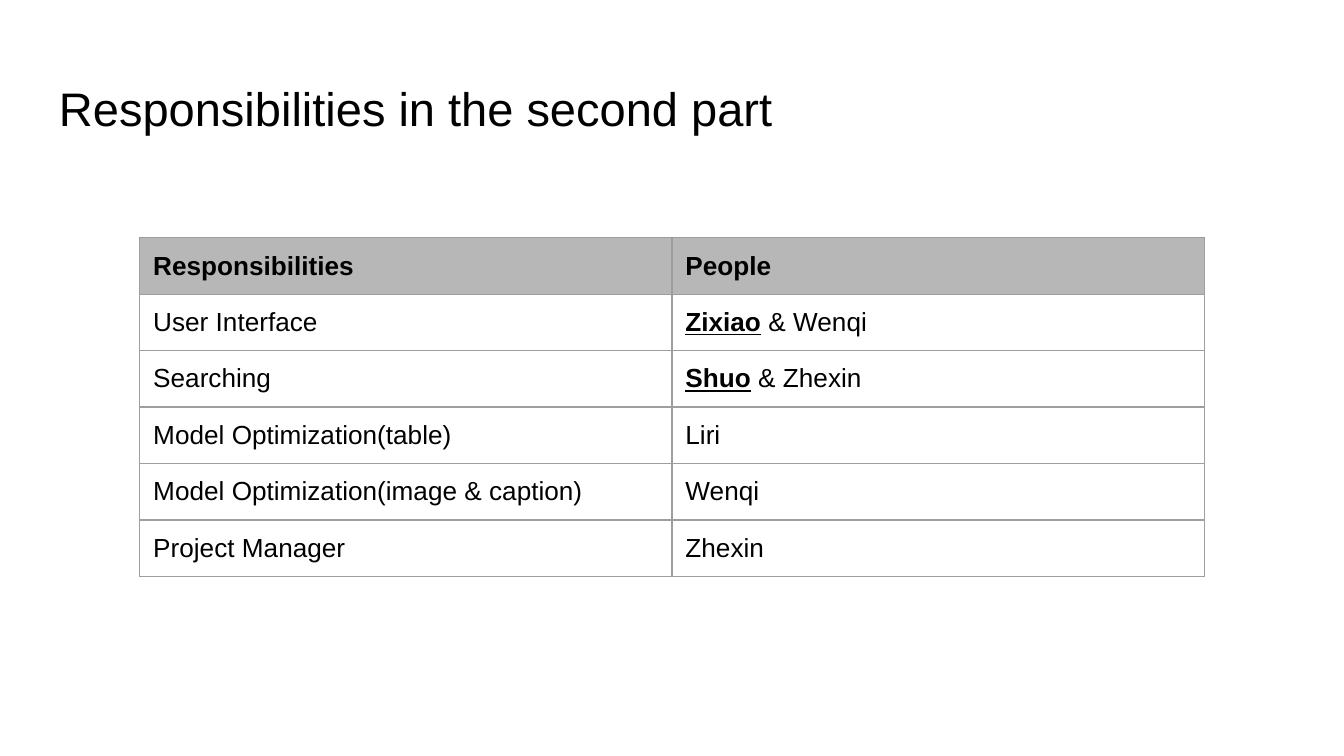
from typing import NamedTuple

from lxml import etree
from pptx import Presentation
from pptx.dml.color import RGBColor
from pptx.enum.text import MSO_ANCHOR
from pptx.oxml.ns import qn
from pptx.util import Inches, Pt

MIDDLE = MSO_ANCHOR.MIDDLE
TOP = MSO_ANCHOR.TOP
FONT = "Arial"
COLORS = {"text": "000000", "header": "B7B7B7", "border": "9E9E9E"}
PAGE_WIDTH = Inches(10)
PAGE_HEIGHT = PAGE_WIDTH * 9 // 16
PADDING = Inches(0.1)
CELL_BOTTOM_PADDING = Inches(0.08)  # leaves room for the border line
COLUMN_WIDTH = Inches(3.96)
ROW_HEIGHT = Inches(0.42)


class Duty(NamedTuple):
    task: str
    helper: str
    leader: str = ""


DUTIES = [
    Duty("User Interface", " & Wenqi", leader="Zixiao"),
    Duty("Searching", " & Zhexin", leader="Shuo"),
    Duty("Model Optimization(table)", "Liri"),
    Duty("Model Optimization(image & caption)", "Wenqi"),
    Duty("Project Manager", "Zhexin"),
]


def add_span(para, text: str, *, size: float = 14, bold: bool = False,
             underline: bool = False) -> None:
    span = para.add_run()
    span.text = text
    span.font.name = FONT
    span.font.size = Pt(size)
    span.font.bold = bold
    span.font.underline = underline
    span.font.color.rgb = RGBColor.from_string(COLORS["text"])


def set_padding(holder, bottom: int = PADDING) -> None:
    holder.margin_left = holder.margin_right = holder.margin_top = PADDING
    holder.margin_bottom = bottom


def add_borders(cell, width: float = 0.75) -> None:
    properties = cell._tc.get_or_add_tcPr()
    for index, side in enumerate(("lnL", "lnR", "lnT", "lnB")):
        line = etree.Element(qn(f"a:{side}"), w=str(Pt(width)))
        fill = etree.SubElement(line, qn("a:solidFill"))
        etree.SubElement(fill, qn("a:srgbClr"), val=COLORS["border"])
        properties.insert(index, line)  # borders come before the fill


def style_cell(cell, fill: str = "") -> None:
    set_padding(cell, CELL_BOTTOM_PADDING)
    cell.vertical_anchor = TOP
    if fill:
        cell.fill.solid()
        cell.fill.fore_color.rgb = RGBColor.from_string(fill)
    else:
        cell.fill.background()
    add_borders(cell)


def add_title(page, text: str) -> None:
    box = page.shapes.add_textbox(Inches(0.34), Inches(0.49), Inches(9.32), Inches(0.63))
    frame = box.text_frame
    frame.word_wrap = True
    frame.vertical_anchor = MIDDLE
    set_padding(frame)
    add_span(frame.paragraphs[0], text, size=25.2)


def add_duty_table(page, headings: tuple[str, str], duties: list[Duty]) -> None:
    row_count = len(duties) + 1
    table = page.shapes.add_table(
        row_count, len(headings), Inches(1.04), Inches(1.77),
        COLUMN_WIDTH * len(headings), ROW_HEIGHT * row_count).table
    table.horz_banding = False

    # Header row
    for column, heading in enumerate(headings):
        cell = table.cell(0, column)
        style_cell(cell, COLORS["header"])
        add_span(cell.text_frame.paragraphs[0], heading, bold=True)

    # One row per duty, with its leader emphasised
    for row, duty in enumerate(duties, start=1):
        task_cell, people_cell = table.cell(row, 0), table.cell(row, 1)
        style_cell(task_cell)
        style_cell(people_cell)
        add_span(task_cell.text_frame.paragraphs[0], duty.task)
        people = people_cell.text_frame.paragraphs[0]
        if duty.leader:
            add_span(people, duty.leader, bold=True, underline=True)
        add_span(people, duty.helper)


def main() -> None:
    deck = Presentation()
    deck.slide_width, deck.slide_height = PAGE_WIDTH, PAGE_HEIGHT
    page = deck.slides.add_slide(deck.slide_layouts[6])
    add_title(page, "Responsibilities in the second part")
    add_duty_table(page, ("Responsibilities", "People"), DUTIES)
    deck.save("out.pptx")


if __name__ == "__main__":
    main()
